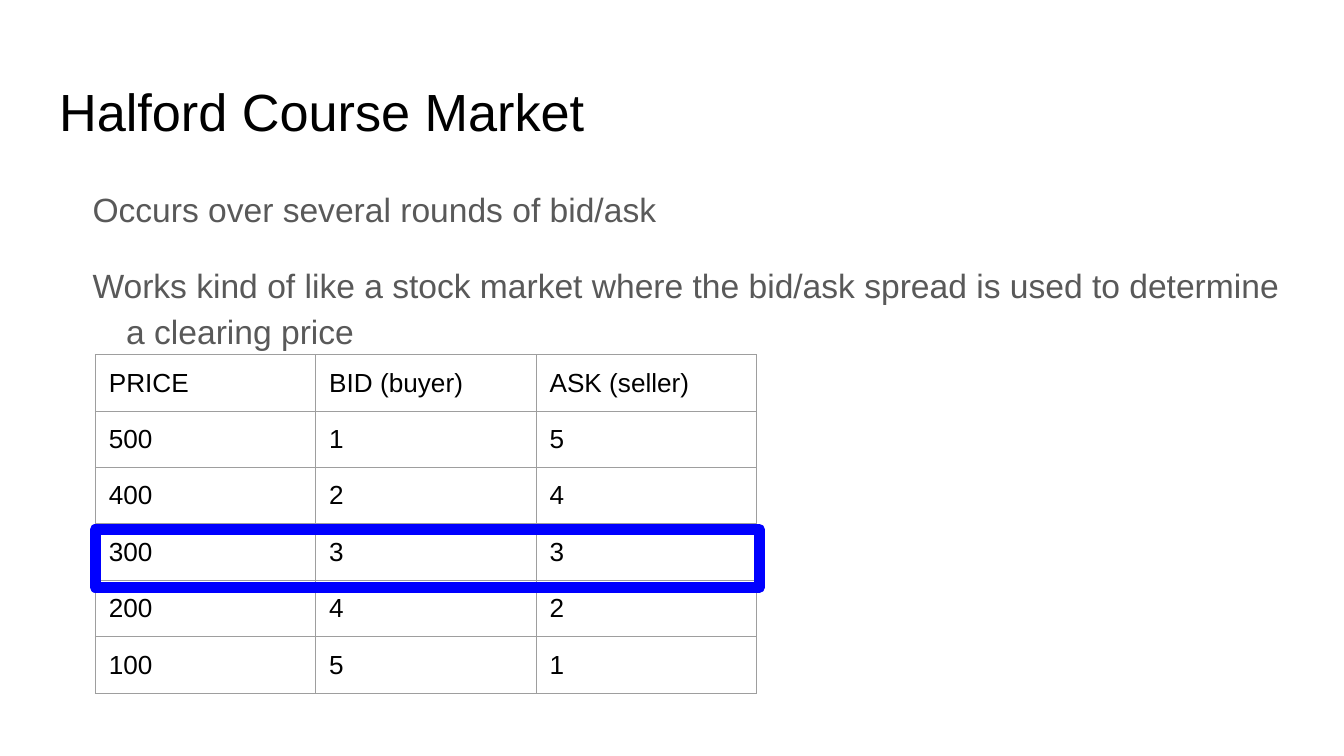
from lxml.etree import SubElement
from pptx import Presentation
from pptx.dml.color import RGBColor
from pptx.enum.shapes import MSO_SHAPE as Shape
from pptx.enum.text import MSO_ANCHOR as Anchor, MSO_AUTO_SIZE as AutoSize, PP_ALIGN as Align
from pptx.oxml.ns import qn
from pptx.util import Inches, Pt

COLORS = {"text": "000000", "body": "595959", "grid": "9E9E9E", "highlight": "0000FF"}
FONT = "Arial"
MARGIN = Inches(0.1)


def write_text(paragraph, text, size=14, color="text", spacing=1.0, after=0):
    """Fill a paragraph with one formatted run."""
    paragraph.alignment = Align.LEFT
    paragraph.line_spacing = spacing
    paragraph.space_before = Pt(0)
    paragraph.space_after = Pt(after)
    run = paragraph.add_run()
    run.text = text
    run.font.name = FONT
    run.font.size = Pt(size)
    run.font.color.rgb = RGBColor.from_string(COLORS[color])


class SlideBuilder:
    """Holds the style and the current slide."""

    def __init__(self, presentation):
        self.slide = presentation.slides.add_slide(presentation.slide_layouts[5])

    def set_frame(self, frame):
        frame.word_wrap = True
        frame.auto_size = AutoSize.NONE
        frame.vertical_anchor = Anchor.TOP
        frame.margin_left = frame.margin_right = MARGIN
        frame.margin_top = frame.margin_bottom = MARGIN

    def title(self, text, left, top, width, height):
        shape = self.slide.shapes.title
        shape.left, shape.top = Inches(left), Inches(top)
        shape.width, shape.height = Inches(width), Inches(height)
        self.set_frame(shape.text_frame)
        write_text(shape.text_frame.paragraphs[0], text, size=28)

    def body(self, lines, left, top, width, height):
        box = self.slide.shapes.add_textbox(
            Inches(left), Inches(top), Inches(width), Inches(height))
        frame = box.text_frame
        self.set_frame(frame)
        for index, line in enumerate(lines):
            paragraph = frame.add_paragraph() if index else frame.paragraphs[0]
            write_text(paragraph, line, size=18, color="body", spacing=1.15, after=16)
            properties = paragraph._p.get_or_add_pPr()
            properties.set("marL", str(Inches(0.5)))
            properties.set("indent", str(Inches(-0.25)))

    def table(self, rows, left, top, column_width, row_height):
        row_count, column_count = len(rows), len(rows[0])
        table = self.slide.shapes.add_table(
            row_count, column_count, Inches(left), Inches(top),
            Inches(column_width * column_count), Inches(row_height * row_count)).table
        table.first_row = table.horz_banding = False
        for column in table.columns:
            column.width = Inches(column_width)
        for row, values in zip(table.rows, rows):
            row.height = Inches(row_height)
            for cell, value in zip(row.cells, values):
                cell.margin_left = cell.margin_right = MARGIN
                cell.margin_top = cell.margin_bottom = MARGIN
                cell.vertical_anchor = Anchor.TOP
                write_text(cell.text_frame.paragraphs[0], str(value))
                self.cell_borders(cell)
                cell.fill.background()

    def cell_borders(self, cell):
        properties = cell._tc.get_or_add_tcPr()
        for side in ("a:lnL", "a:lnR", "a:lnT", "a:lnB"):
            line = SubElement(properties, qn(side), w=str(Pt(0.75)))
            fill = SubElement(line, qn("a:solidFill"))
            SubElement(fill, qn("a:srgbClr"), val=COLORS["grid"])

    def outline(self, left, top, width, height):
        shape = self.slide.shapes.add_shape(
            Shape.RECTANGLE, Inches(left), Inches(top), Inches(width), Inches(height))
        shape.shadow.inherit = False
        shape.fill.background()
        shape.line.color.rgb = RGBColor.from_string(COLORS["highlight"])
        shape.line.width = Pt(6)
        SubElement(shape.line._get_or_add_ln(), qn("a:round"))


def main():
    # Widescreen 16:9 page
    presentation = Presentation()
    presentation.slide_width = Inches(10)
    presentation.slide_height = Inches(10 * 9 / 16)
    builder = SlideBuilder(presentation)

    # Title and explanation
    builder.title("Halford Course Market", 0.34, 0.49, 9.32, 0.63)
    builder.body([
        "Occurs over several rounds of bid/ask",
        "Works kind of like a stock market where the bid/ask spread is used "
        "to determine a clearing price",
    ], 0.34, 1.26, 9.32, 3.74)

    # Bids and asks at each price
    builder.table([
        ("PRICE", "BID (buyer)", "ASK (seller)"),
        (500, 1, 5),
        (400, 2, 4),
        (300, 3, 3),
        (200, 4, 2),
        (100, 5, 1),
    ], 0.71, 2.64, column_width=1.64, row_height=0.42)

    # Clearing price highlight
    builder.outline(0.71, 3.94, 4.94, 0.43)

    presentation.save("out.pptx")


if __name__ == "__main__":
    main()
